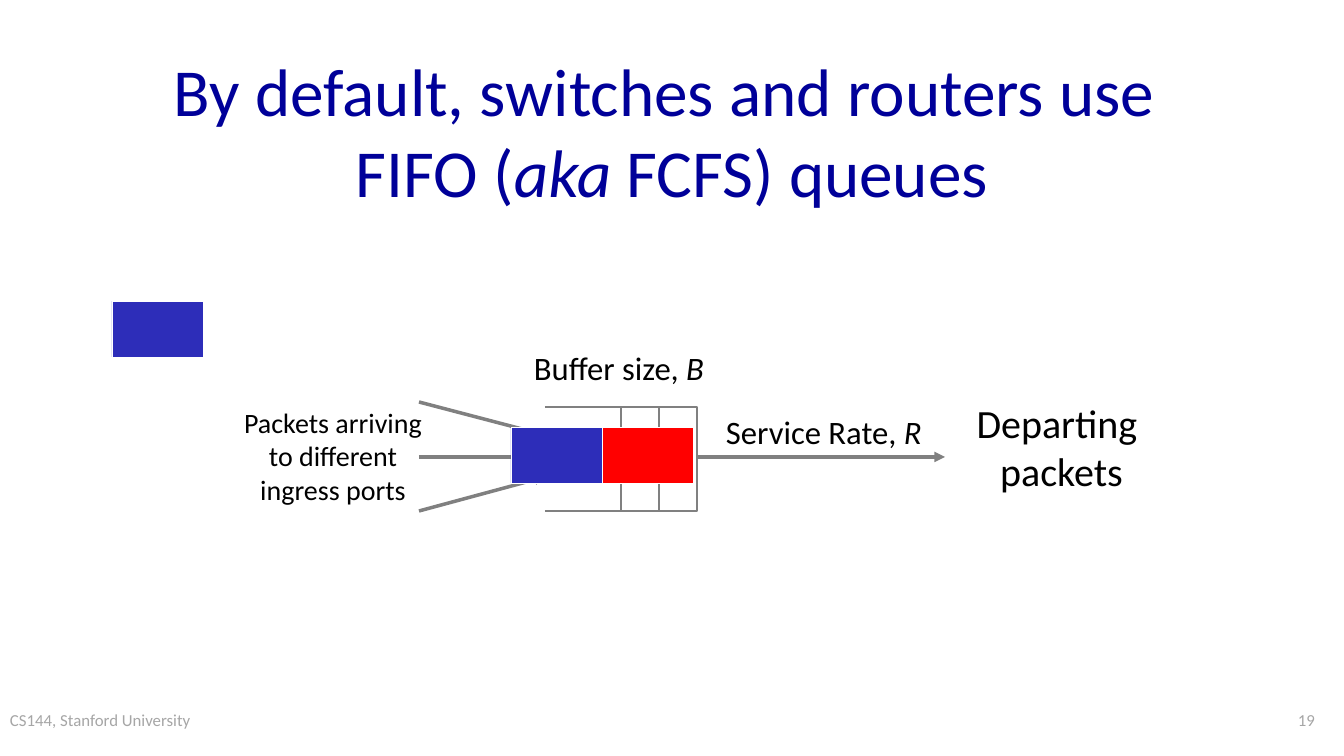
from dataclasses import dataclass
from typing import Any, NamedTuple

from lxml.etree import SubElement
from pptx import Presentation
from pptx.dml.color import RGBColor as Rgb
from pptx.enum.shapes import MSO_CONNECTOR as Link, MSO_SHAPE as Shape
from pptx.enum.text import MSO_ANCHOR as Anchor, PP_ALIGN as Align
from pptx.oxml.ns import qn
from pptx.util import Emu, Pt


@dataclass(frozen=True)
class Theme:
    font: str = "Calibri"
    navy: str = "000099"
    black: str = "000000"
    pale: str = "A6A6A6"
    gray: str = "808080"
    blue: str = "2D2DB9"
    red: str = "FF0000"
    white: str = "FFFFFF"
    title: float = 57.6
    large: float = 34.3
    label: float = 28
    small: float = 24
    foot: float = 14.4
    thick: float = 3
    mid: float = 2.25
    thin: float = 0.75


class Box(NamedTuple):
    left: int
    top: int
    width: int
    height: int


class Wire(NamedTuple):
    start: tuple[int, int]
    end: tuple[int, int]
    weight: float
    arrow: bool = False


class Block(NamedTuple):
    box: Box
    fill: str | None
    line: str
    weight: float


class Label(NamedTuple):
    box: Box
    text: tuple[str, ...]
    size: float
    color: str = "000000"
    align: Align = Align.LEFT
    anchor: Anchor = Anchor.TOP
    wrap: bool = True
    inset: int = 8


THEME = Theme()
MID = 457
SLOT_TOP, SLOT_W, SLOT_H = 407, 38, 104
SLOT_LEFT = 621
MOUTH = 545
PACK_W, PACK_H = 91, 56


def px(count: int) -> Emu:
    return Emu(round(count * 914400 / 84))


def apply(target: Any, values: dict[str, Any]) -> None:
    for name, value in values.items():
        setattr(target, name, value)


def stroke(line: Any, color: str, weight: float) -> None:
    line.color.rgb = Rgb.from_string(color)
    line.width = Pt(weight)


def draw_wire(slide: Any, wire: Wire) -> None:
    ends = map(px, wire.start + wire.end)
    link = slide.shapes.add_connector(Link.STRAIGHT, *ends)
    stroke(link.line, THEME.gray, wire.weight)
    props = link._element.spPr
    if wire.arrow:
        SubElement(props.find(qn("a:ln")), qn("a:tailEnd"), type="triangle")
    SubElement(props, qn("a:effectLst"))


def draw_block(slide: Any, block: Block) -> None:
    shape = slide.shapes.add_shape(Shape.RECTANGLE, *map(px, block.box))
    shape.shadow.inherit = False
    if block.fill:
        shape.fill.solid()
        shape.fill.fore_color.rgb = Rgb.from_string(block.fill)
    else:
        shape.fill.background()
    stroke(shape.line, block.line, block.weight)


def draw_label(slide: Any, label: Label) -> None:
    frame = slide.shapes.add_textbox(*map(px, label.box)).text_frame
    apply(frame, {
        "word_wrap": label.wrap,
        "vertical_anchor": label.anchor,
        "margin_left": px(label.inset),
        "margin_right": px(label.inset),
    })
    for row, text in enumerate(label.text):
        para = frame.add_paragraph() if row else frame.paragraphs[0]
        para.alignment = label.align
        for turn, part in enumerate(text.split("*")):
            for step, piece in enumerate(part.split("\n")):
                if step:
                    para.add_line_break()
                run = para.add_run()
                run.text = piece
                apply(run.font, {
                    "name": THEME.font,
                    "size": Pt(label.size),
                    "italic": turn % 2 == 1,
                })
                run.font.color.rgb = Rgb.from_string(label.color)


SLOTS = [
    Block(Box(SLOT_LEFT + i * SLOT_W, SLOT_TOP, SLOT_W, SLOT_H),
          None, THEME.gray, THEME.mid)
    for i in range(2)
]
PACKS = [
    Block(Box(left, top, PACK_W, PACK_H), fill, THEME.white, THEME.thin)
    for left, top, fill in (
        (112, 301, THEME.blue),
        (511 + PACK_W, 427, THEME.red),
        (511, 427, THEME.blue),
    )
]
WIRES = [
    *(Wire((419, start), (MOUTH, end), THEME.thick, True)
      for start, end in ((402, 435), (MID, MID), (511, 477))),
    *(Wire((MOUTH, y), (SLOT_LEFT, y), THEME.mid)
      for y in (SLOT_TOP, SLOT_TOP + SLOT_H)),
    Wire((SLOT_LEFT + 2 * SLOT_W, MID), (945, MID), THEME.thick, True),
]
LABELS = [
    Label(Box(0, 706, 325, 50), ("CS144, Stanford University",),
          THEME.foot, THEME.pale, inset=10),
    Label(Box(101, 67, 1142, 126),
          ("By default, switches and routers use \nFIFO (*aka* FCFS) queues",),
          THEME.title, THEME.navy, Align.CENTER, Anchor.MIDDLE),
    Label(Box(1043, 706, 280, 50), ("19",),
          THEME.foot, THEME.pale, Align.RIGHT),
    Label(Box(526, 344, 189, 48), ("Buffer size, *B",),
          THEME.label, wrap=False),
    Label(Box(967, 394, 189, 105), ("Departing ", "packets"),
          THEME.large, align=Align.CENTER, wrap=False),
    Label(Box(718, 408, 261, 48), ("Service Rate, *R",), THEME.label),
    Label(Box(228, 401, 210, 110),
          ("Packets arriving to different ingress ports",),
          THEME.small, align=Align.CENTER),
]


def main() -> None:
    deck = Presentation()
    apply(deck, {"slide_width": px(1344), "slide_height": px(756)})
    slide = deck.slides.add_slide(deck.slide_layouts[6])
    for slot in SLOTS:
        draw_block(slide, slot)
    for wire in WIRES:
        draw_wire(slide, wire)
    for label in LABELS:
        draw_label(slide, label)
    for pack in PACKS:
        draw_block(slide, pack)
    deck.save("out.pptx")


if __name__ == "__main__":
    main()
